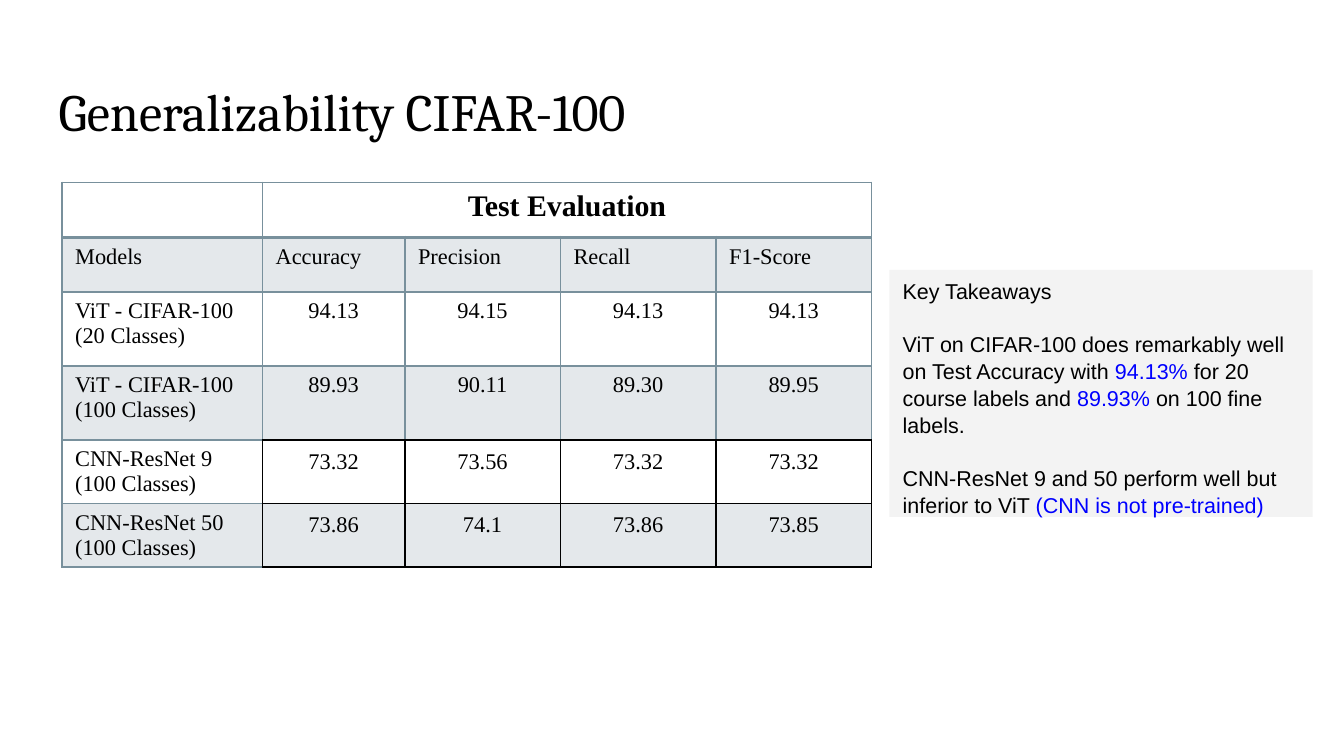
import lxml.etree
import pptx
import pptx.dml.color
import pptx.enum.text
import pptx.oxml.ns
import pptx.util

Cm = pptx.util.Cm
Pt = pptx.util.Pt
ALIGN = pptx.enum.text.PP_ALIGN
ANCHOR = pptx.enum.text.MSO_ANCHOR

BLACK, BLUE, SLATE, PALE = "000000", "0000FF", "78909C", "F3F3F3"
COLUMN_WIDTHS = [3.79, 2.69, 2.94, 2.94, 2.94]
ROW_HEIGHTS = [1.03, 1.03, 1.4, 1.4, 1.2, 1.2]
FIRST_CNN_ROW = 4
ROWS = [
    ["", "Test Evaluation", "", "", ""],
    ["Models", "Accuracy", "Precision", "Recall", "F1-Score"],
    ["ViT - CIFAR-100 (20 Classes)", "94.13", "94.15", "94.13", "94.13"],
    ["ViT - CIFAR-100 (100 Classes)", "89.93", "90.11", "89.30", "89.95"],
    ["CNN-ResNet 9 (100 Classes)", "73.32", "73.56", "73.32", "73.32"],
    ["CNN-ResNet 50 (100 Classes)", "73.86", "74.1", "73.86", "73.85"],
]
TAKEAWAYS = [
    [("Key Takeaways", BLACK)],
    [("ViT on CIFAR-100 does remarkably well on Test Accuracy with ", BLACK),
     ("94.13%", BLUE), (" for 20 course labels and ", BLACK),
     ("89.93%", BLUE), (" on 100 fine labels.", BLACK)],
    [("CNN-ResNet 9 and 50 perform well but inferior to ViT ", BLACK),
     ("(CNN is not pre-trained)", BLUE)],
]


def rgb(color):
    return pptx.dml.color.RGBColor.from_string(color)


def format_font(font, name, size, color, bold=False):
    font.name, font.size, font.bold = name, Pt(size), bold
    font.color.rgb = rgb(color)


def set_margins(target, horizontal, vertical):
    target.margin_left = target.margin_right = Cm(horizontal)
    target.margin_top = target.margin_bottom = Cm(vertical)


def add_child(parent, tag, **attributes):
    return lxml.etree.SubElement(parent, pptx.oxml.ns.qn(tag), attributes)


def set_borders(cell, borders):
    """Draw (side, color, points) borders; sides come in L, R, T, B order."""
    properties = cell._tc.get_or_add_tcPr()
    for index, (side, color, points) in enumerate(borders):
        line = lxml.etree.Element(pptx.oxml.ns.qn(f"a:ln{side}"), w=str(Pt(points)))
        add_child(add_child(line, "a:solidFill"), "a:srgbClr", val=color)
        properties.insert(index, line)


def shade(cell, color, opacity):
    cell.fill.solid()
    cell.fill.fore_color.rgb = rgb(color)
    color_element = cell._tc.tcPr.find(".//" + pptx.oxml.ns.qn("a:srgbClr"))
    add_child(color_element, "a:alpha", val=str(opacity * 1000))


def format_cell(cell, row, column):
    is_value = row > 1 and column > 0
    is_cnn = row >= FIRST_CNN_ROW
    set_margins(cell, *((0.18, 0.18) if is_cnn and is_value else (0.25, 0.13)))
    cell.vertical_anchor = ANCHOR.TOP
    if row % 2:
        shade(cell, SLATE, 20)
    else:
        cell.fill.background()

    own = BLACK if is_cnn and is_value else SLATE
    right = BLACK if is_cnn else SLATE
    bottom = BLACK if is_value and row + 1 >= FIRST_CNN_ROW else SLATE
    set_borders(cell, [("L", own, 1), ("R", right, 1),
                       ("T", own, 2 if row == 1 else 1),
                       ("B", bottom, 2 if row == 0 else 1)])

    cell.text_frame.text = ROWS[row][column]
    paragraph = cell.text_frame.paragraphs[0]
    is_header = row == 0
    paragraph.alignment = ALIGN.CENTER if is_value or is_header else ALIGN.LEFT
    for run in paragraph.runs:
        format_font(run.font, "Times New Roman", 16 if is_header else 12,
                    BLACK, is_header)


def place_title(slide, left, top, width, height):
    title = slide.shapes.title
    title.left, title.top = Cm(left), Cm(top)
    title.width, title.height = Cm(width), Cm(height)
    text_frame = title.text_frame
    text_frame.text = "Generalizability CIFAR-100"
    text_frame.vertical_anchor = ANCHOR.TOP
    set_margins(text_frame, 0.25, 0.25)
    paragraph = text_frame.paragraphs[0]
    paragraph.alignment = ALIGN.LEFT
    format_font(paragraph.runs[0].font, "Cambria", 28, BLACK)


def add_results(slide, left, top):
    table = slide.shapes.add_table(
        len(ROWS), len(COLUMN_WIDTHS), Cm(left), Cm(top),
        Cm(sum(COLUMN_WIDTHS)), Cm(sum(ROW_HEIGHTS))).table
    table.first_row = table.horz_banding = False
    for column, width in zip(table.columns, COLUMN_WIDTHS):
        column.width = Cm(width)
    for row, height in zip(table.rows, ROW_HEIGHTS):
        row.height = Cm(height)
    for row in range(len(ROWS)):
        for column in range(len(COLUMN_WIDTHS)):
            format_cell(table.cell(row, column), row, column)
    table.cell(0, 1).merge(table.cell(0, len(COLUMN_WIDTHS) - 1))


def add_takeaways(slide, left, top, width, height):
    box = slide.shapes.add_textbox(Cm(left), Cm(top), Cm(width), Cm(height))
    box.fill.solid()
    box.fill.fore_color.rgb = rgb(PALE)
    text_frame = box.text_frame
    text_frame.word_wrap = True
    set_margins(text_frame, 0.25, 0.13)
    for index, parts in enumerate(TAKEAWAYS):
        paragraph = text_frame.add_paragraph() if index else text_frame.paragraphs[0]
        paragraph.line_spacing = 1.05
        if index:
            paragraph.space_before = Pt(13.8)
        for text, color in parts:
            run = paragraph.add_run()
            run.text = text
            format_font(run.font, "Arial", 11.5, color)


def main():
    presentation = pptx.Presentation()
    presentation.slide_width, presentation.slide_height = Cm(25.4), Cm(14.29)
    slide = presentation.slides.add_slide(presentation.slide_layouts[5])
    place_title(slide, 0.86, 1.24, 23.67, 2.82)
    add_results(slide, 1.17, 3.45)
    add_takeaways(slide, 16.81, 5.1, 8, 4.67)
    presentation.save("out.pptx")


if __name__ == "__main__":
    main()
